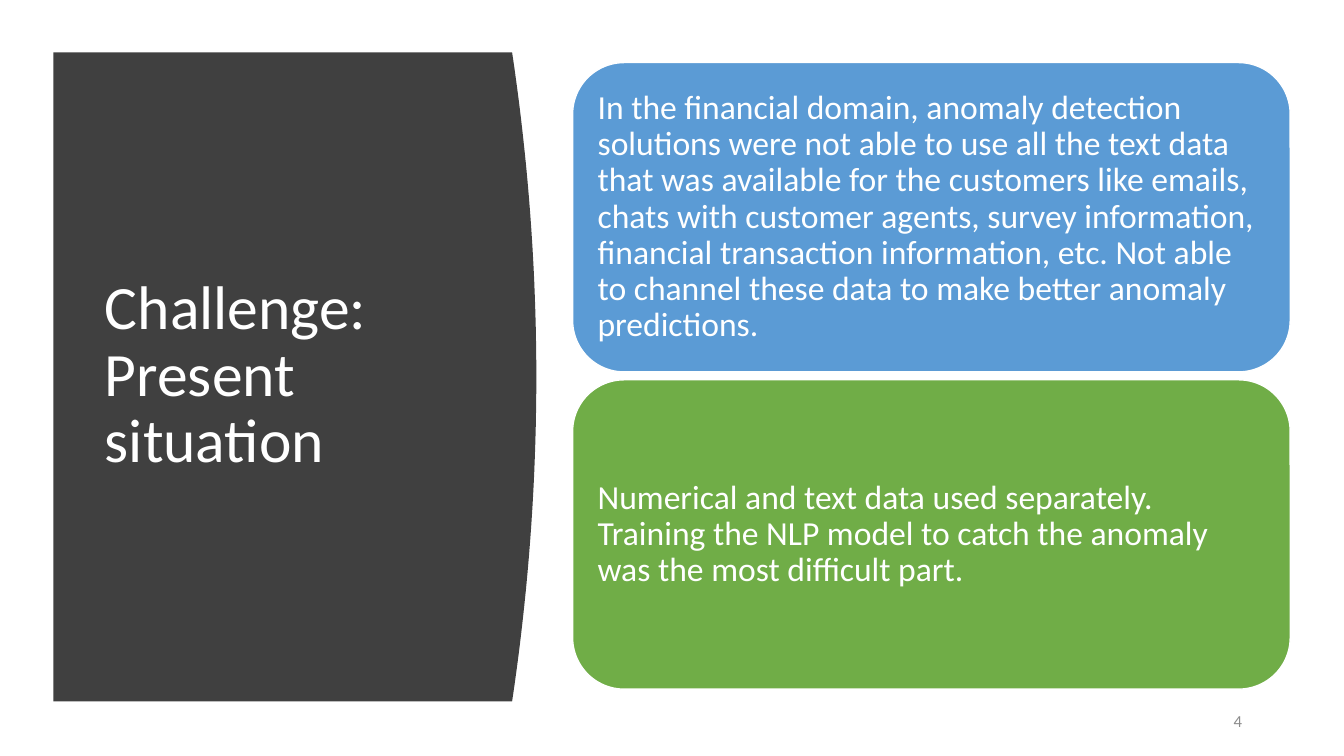
from pptx import Presentation
from pptx import util as u
from pptx.dml.color import RGBColor
from pptx.enum import shapes, text

WHITE = RGBColor(0xFF, 0xFF, 0xFF)
CHARCOAL = RGBColor(0x40, 0x40, 0x40)
GREY = RGBColor(0x8C, 0x8C, 0x8C)
BLUE = RGBColor(0x5B, 0x9B, 0xD5)
GREEN = RGBColor(0x70, 0xAD, 0x47)

CARDS = [
    ("In the financial domain, anomaly detection solutions were not able to use "
     "all the text data that was available for the customers like emails, chats "
     "with customer agents, survey information, financial transaction "
     "information, etc. Not able to channel these data to make better anomaly "
     "predictions.", BLUE),
    ("Numerical and text data used separately. Training the NLP model to catch "
     "the anomaly was the most difficult part.", GREEN),
]
CARD_TOP, CARD_STEP = 44.7, 226.6


def set_all(obj, values):
    for name, value in values.items():
        setattr(obj, name, value)


def write(sp, words, size, color, align=text.PP_ALIGN.LEFT, spacing=0.9):
    tf = sp.text_frame
    set_all(tf, {"word_wrap": True, "auto_size": text.MSO_AUTO_SIZE.NONE,
                 "vertical_anchor": text.MSO_ANCHOR.MIDDLE})
    p = tf.paragraphs[0]
    set_all(p, {"alignment": align, "line_spacing": spacing})
    r = p.add_run()
    r.text = words
    set_all(r.font, {"name": "Calibri", "size": u.Pt(size)})
    r.font.color.rgb = color


def paint(sp, color):
    sp.shadow.inherit = False
    sp.fill.solid()
    sp.fill.fore_color.rgb = color


def add_curved_panel(s, left, top, right, bottom, bulge, steps=40):
    middle, half = (top + bottom) / 2, (bottom - top) / 2
    edge = []
    for i in range(steps + 1):
        t = 2 * i / steps - 1
        edge.append((u.Pt(right + bulge * (1 - t * t)), u.Pt(middle + half * t)))
    fb = s.shapes.build_freeform(u.Pt(left), u.Pt(top))
    fb.add_line_segments(edge + [(u.Pt(left), u.Pt(bottom))], close=True)
    sp = fb.convert_to_shape()
    paint(sp, CHARCOAL)
    sp.line.fill.background()


def add_title(s, words):
    sp = s.shapes.title
    set_all(sp, {"left": u.Pt(67.7), "top": u.Pt(80),
                 "width": u.Pt(269.3), "height": u.Pt(377.3)})
    write(sp, words, 44, WHITE)
    tree = s.shapes._spTree
    tree.remove(sp._element)
    tree.append(sp._element)


def add_card(s, top, words, color):
    sp = s.shapes.add_shape(shapes.MSO_SHAPE.ROUNDED_RECTANGLE, u.Pt(409),
                            u.Pt(top), u.Pt(512.6), u.Pt(221))
    paint(sp, color)
    sp.line.color.rgb = WHITE
    sp.line.width = u.Pt(1)
    for side in ("left", "top", "right", "bottom"):
        setattr(sp.text_frame, f"margin_{side}", u.Pt(7.2))
    write(sp, words, 24, WHITE)


def add_page_number(s, number):
    sp = s.shapes.add_textbox(u.Pt(844.6), u.Pt(500.4), u.Pt(49.7), u.Pt(28.8))
    write(sp, number, 12, GREY, text.PP_ALIGN.RIGHT, 1.0)
    sp.text_frame.paragraphs[0].space_after = u.Pt(6)


def main():
    prs = Presentation()
    set_all(prs, {"slide_width": u.Pt(960), "slide_height": u.Pt(540)})
    s = prs.slides.add_slide(prs.slide_layouts[5])
    add_curved_panel(s, 38.2, 37.4, 365.8, 501.1, 17.3)
    add_title(s, "Challenge: Present situation")
    add_page_number(s, "4")
    for i, (words, color) in enumerate(CARDS):
        add_card(s, CARD_TOP + i * CARD_STEP, words, color)
    prs.save("out.pptx")


if __name__ == "__main__":
    main()
